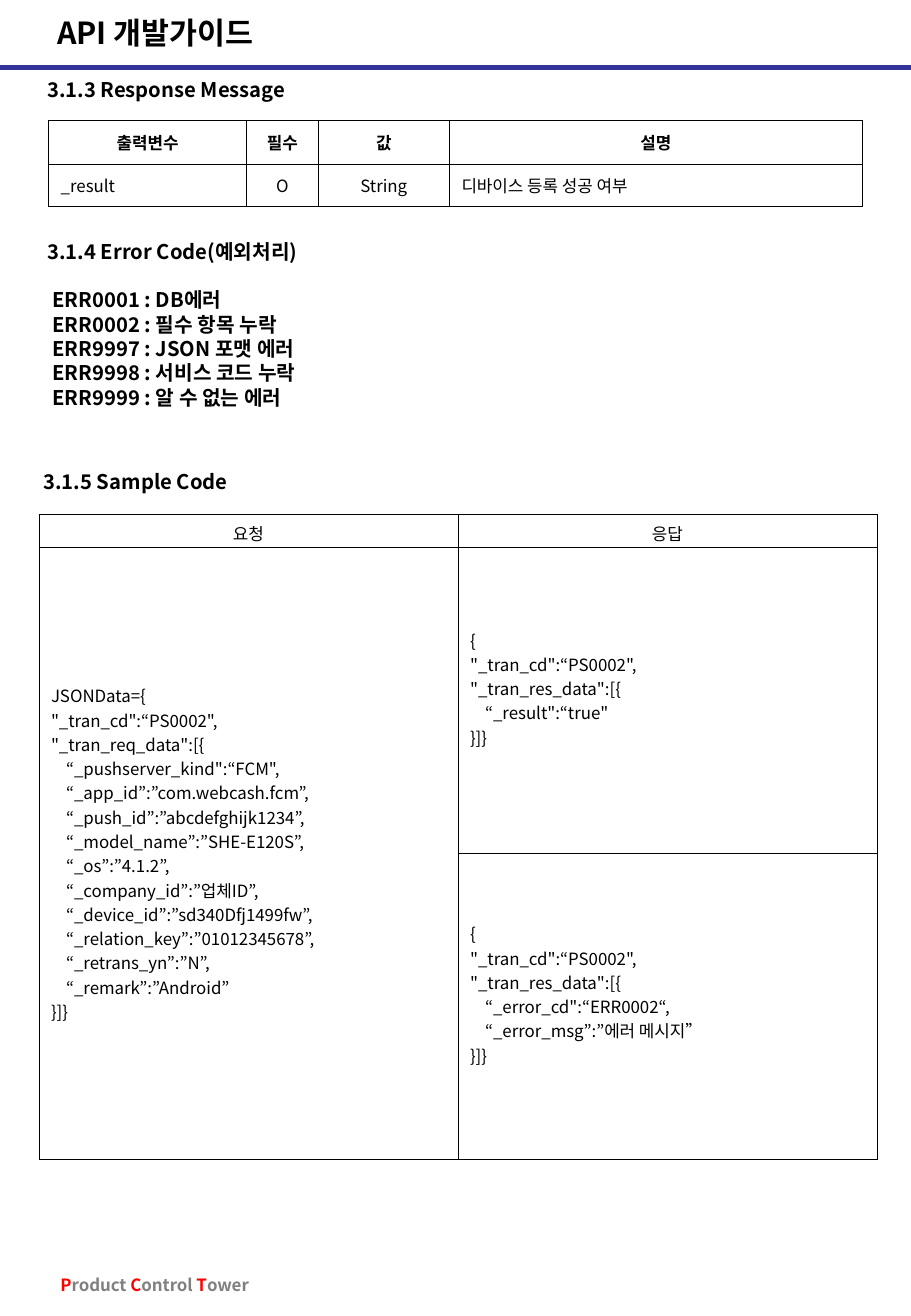
from dataclasses import dataclass
from typing import Optional

from lxml.etree import SubElement
from pptx import Presentation
from pptx.dml.color import RGBColor as Rgb
from pptx.enum.shapes import MSO_CONNECTOR as Connector
from pptx.enum.text import MSO_ANCHOR as Anchor, MSO_AUTO_SIZE as AutoSize, PP_ALIGN as Align
from pptx.oxml.ns import qn
from pptx.util import Pt

EMU_PER_PX = 9144  # 100 px to the inch
SLIDE_WIDTH, SLIDE_HEIGHT = 750, 1084
RULE_Y = 56
MARGIN_X, MARGIN_Y = 10, 5


def px(count: int) -> int:
    return count * EMU_PER_PX


@dataclass(frozen=True)
class Theme:
    font: str = "Noto Sans CJK KR"
    ink: str = "000000"
    rule: str = "333399"
    accent: str = "FF0000"
    muted: str = "808080"
    title_size: int = 18
    heading_size: int = 12
    body_size: int = 10
    leading: float = 1.2
    rule_width: float = 3
    border_width: float = 0.45


THEME = Theme()


@dataclass(frozen=True)
class Box:
    left: int
    top: int
    width: int
    height: int


@dataclass(frozen=True)
class Heading:
    text: str
    box: Box


@dataclass(frozen=True)
class Entry:
    """One table cell: its lines of text and how they sit."""
    lines: tuple[str, ...]
    centred: bool = False
    bold: bool = False
    margin_bottom: int = MARGIN_Y


@dataclass(frozen=True)
class Grid:
    left: int
    top: int
    columns: tuple[int, ...]
    rows: tuple[int, ...]
    entries: tuple[tuple[Optional[Entry], ...], ...]


HEADINGS = (
    Heading("3.1.3 Response Message", Box(29, 59, 693, 30)),
    Heading("3.1.5 Sample Code", Box(26, 382, 693, 30)),
)
ERROR_HEADING = "3.1.4 Error Code(예외처리)"
ERRORS = (
    "ERR0001 : DB에러",
    "ERR0002 : 필수 항목 누락",
    "ERR9997 : JSON 포맷 에러",
    "ERR9998 : 서비스 코드 누락",
    "ERR9999 : 알 수 없는 에러",
)
FOOTER = (("P", "roduct "), ("C", "ontrol "), ("T", "ower"))

REQUEST = (
    "JSONData={",
    '"_tran_cd":“PS0002",',
    '"_tran_req_data":[{',
    '    “_pushserver_kind":“FCM",',
    "    “_app_id”:”com.webcash.fcm”,",
    "    “_push_id”:”abcdefghijk1234”,",
    "    “_model_name”:”SHE-E120S”,",
    "    “_os”:”4.1.2”,",
    "    “_company_id”:”업체ID”,",
    "    “_device_id”:”sd340Dfj1499fw”,",
    "    “_relation_key”:”01012345678”,",
    "    “_retrans_yn”:”N”,",
    "    “_remark”:”Android”",
    "}]}",
)
RESPONSE_START = ("{", '"_tran_cd":“PS0002",', '"_tran_res_data":[{')
SUCCESS = RESPONSE_START + ('    “_result":“true"', "}]}")
FAILURE = RESPONSE_START + ('    “_error_cd":“ERR0002“,', "    “_error_msg”:”에러 메시지”", "}]}")

OUTPUT_GRID = Grid(40, 99, (163, 59, 108, 340), (36, 35), (
    tuple(Entry((label,), centred=True, bold=True) for label in ("출력변수", "필수", "값", "설명")),
    (Entry(("_result",)), Entry(("O",), centred=True),
     Entry(("String",), centred=True), Entry(("디바이스 등록 성공 여부",))),
))
SAMPLE_GRID = Grid(32, 424, (345, 345), (27, 252, 252), (
    tuple(Entry((label,), centred=True, margin_bottom=1) for label in ("요청", "응답")),
    (Entry(REQUEST), Entry(SUCCESS, margin_bottom=25)),
    (None, Entry(FAILURE, margin_bottom=25)),
))


def add_run(paragraph, text: str, size: int, bold: bool = True, color: str = THEME.ink) -> None:
    run = paragraph.add_run()
    run.text = text
    font = run.font
    font.size, font.bold, font.name = Pt(size), bold, THEME.font
    font.color.rgb = Rgb.from_string(color)
    SubElement(font._element, qn("a:ea"), typeface=THEME.font)


def format_line(paragraph, size: int, indent: int = 0, before: float = 0) -> None:
    """Set an unbulleted, left-aligned line with exact leading."""
    properties = paragraph._p.get_or_add_pPr()
    properties.set("marL", str(px(indent)))
    properties.set("indent", "0")
    SubElement(properties, qn("a:buNone"))
    paragraph.alignment = Align.LEFT
    paragraph.line_spacing = Pt(size * THEME.leading)
    paragraph.space_before = Pt(before)


def place(shape, box: Box, wrap: bool = True):
    """Move a text shape, set its frame and return the frame."""
    shape.left, shape.top = px(box.left), px(box.top)
    shape.width, shape.height = px(box.width), px(box.height)
    frame = shape.text_frame
    frame.auto_size, frame.word_wrap = AutoSize.NONE, wrap
    frame.vertical_anchor = Anchor.TOP
    frame.margin_left = frame.margin_right = px(MARGIN_X)
    frame.margin_top = frame.margin_bottom = px(MARGIN_Y)
    return frame


def add_line(shape, text: str, box: Box, size: int) -> None:
    paragraph = place(shape, box).paragraphs[0]
    format_line(paragraph, size)
    add_run(paragraph, text, size)


def add_errors(body) -> None:
    size = THEME.heading_size
    frame = place(body, Box(29, 192, 693, 150))
    heading = frame.paragraphs[0]
    format_line(heading, size)
    add_run(heading, ERROR_HEADING, size)
    for index, error in enumerate(ERRORS):
        paragraph = frame.add_paragraph()
        format_line(paragraph, size, indent=4, before=0 if index else size * THEME.leading)
        add_run(paragraph, error, size)


def add_footer(shapes) -> None:
    box = Box(40, 1045, 176, 27)
    paragraph = place(shapes.add_textbox(0, 0, 0, 0), box, wrap=False).paragraphs[0]
    format_line(paragraph, THEME.body_size)
    for initial, rest in FOOTER:
        add_run(paragraph, initial, THEME.body_size, color=THEME.accent)
        add_run(paragraph, rest, THEME.body_size, color=THEME.muted)


def add_rule(shapes) -> None:
    rule = shapes.add_connector(Connector.STRAIGHT, 0, px(RULE_Y), px(SLIDE_WIDTH), px(RULE_Y))
    rule.line.color.rgb = Rgb.from_string(THEME.rule)
    rule.line.width = Pt(THEME.rule_width)
    SubElement(rule._element.spPr, qn("a:effectLst"))


def frame_cell(cell) -> None:
    """Outline a cell on all sides and leave it unfilled."""
    properties = cell._tc.get_or_add_tcPr()
    for side in ("lnL", "lnR", "lnT", "lnB"):
        border = SubElement(properties, qn(f"a:{side}"), w=str(Pt(THEME.border_width)))
        fill = SubElement(border, qn("a:solidFill"))
        SubElement(fill, qn("a:srgbClr"), val=THEME.ink)
    cell.fill.background()


def fill_cell(cell, entry: Entry) -> None:
    cell.vertical_anchor = Anchor.MIDDLE
    cell.margin_left = cell.margin_right = px(MARGIN_X)
    cell.margin_top, cell.margin_bottom = px(MARGIN_Y), px(entry.margin_bottom)
    frame = cell.text_frame
    for index, line in enumerate(entry.lines):
        paragraph = frame.add_paragraph() if index else frame.paragraphs[0]
        paragraph.alignment = Align.CENTER if entry.centred else Align.LEFT
        add_run(paragraph, line, THEME.body_size, entry.bold)


def add_grid(shapes, grid: Grid):
    table = shapes.add_table(len(grid.rows), len(grid.columns), px(grid.left), px(grid.top),
                             px(sum(grid.columns)), px(sum(grid.rows))).table
    table.first_row = table.horz_banding = False
    for column, width in zip(table.columns, grid.columns):
        column.width = px(width)
    for row, height, entries in zip(table.rows, grid.rows, grid.entries):
        row.height = px(height)
        for cell, entry in zip(row.cells, entries):
            frame_cell(cell)
            if entry:
                fill_cell(cell, entry)
    return table


def main() -> None:
    deck = Presentation()
    deck.slide_width, deck.slide_height = px(SLIDE_WIDTH), px(SLIDE_HEIGHT)
    slide = deck.slides.add_slide(deck.slide_layouts[1])
    shapes = slide.shapes
    add_rule(shapes)
    add_footer(shapes)
    add_line(shapes.title, "API 개발가이드", Box(37, 7, 686, 40), THEME.title_size)
    add_errors(slide.placeholders[1])
    for heading in HEADINGS:
        add_line(shapes.add_textbox(0, 0, 0, 0), heading.text, heading.box, THEME.heading_size)
    add_grid(shapes, OUTPUT_GRID)
    samples = add_grid(shapes, SAMPLE_GRID)
    samples.cell(1, 0).merge(samples.cell(2, 0))
    deck.save("out.pptx")


if __name__ == "__main__":
    main()
